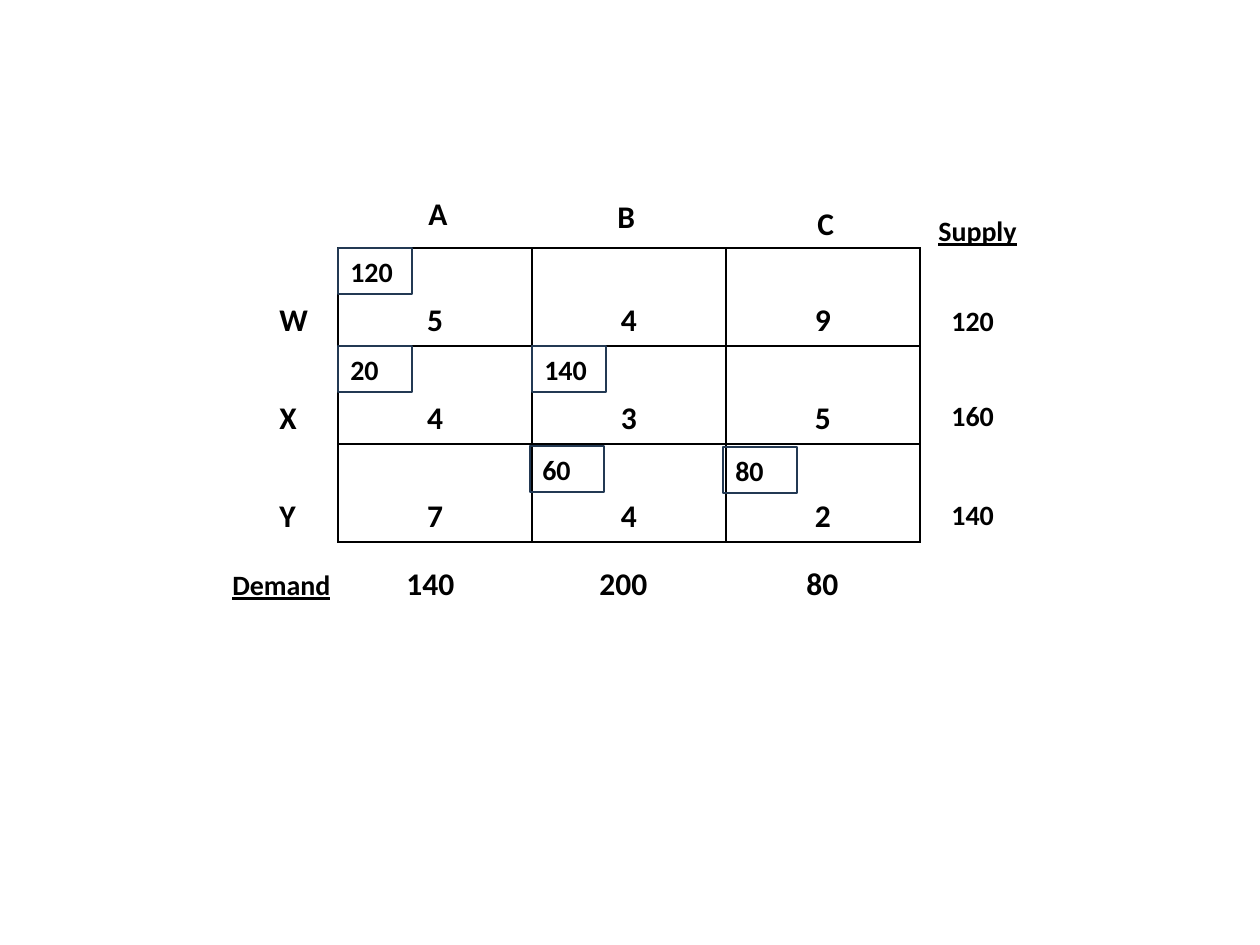
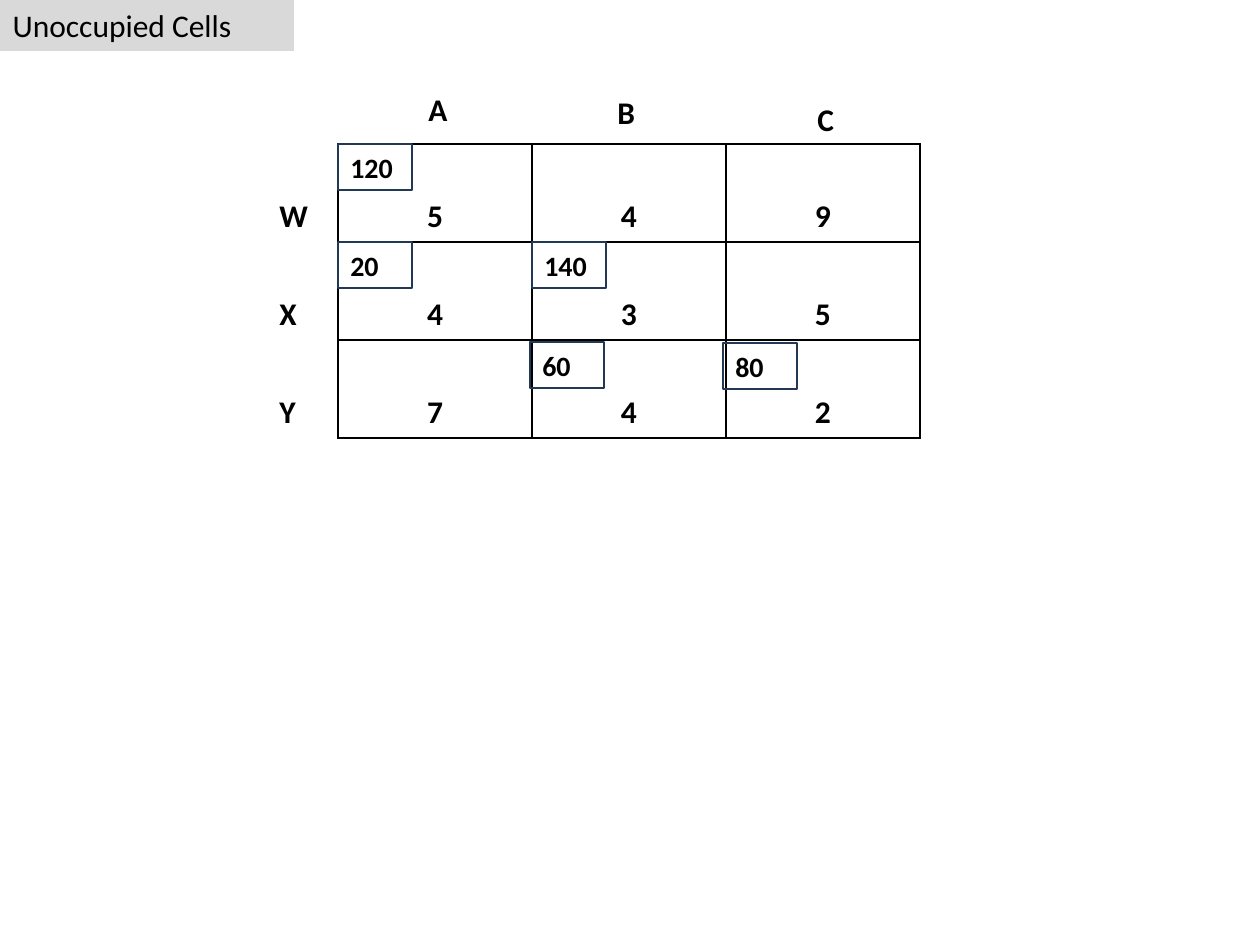
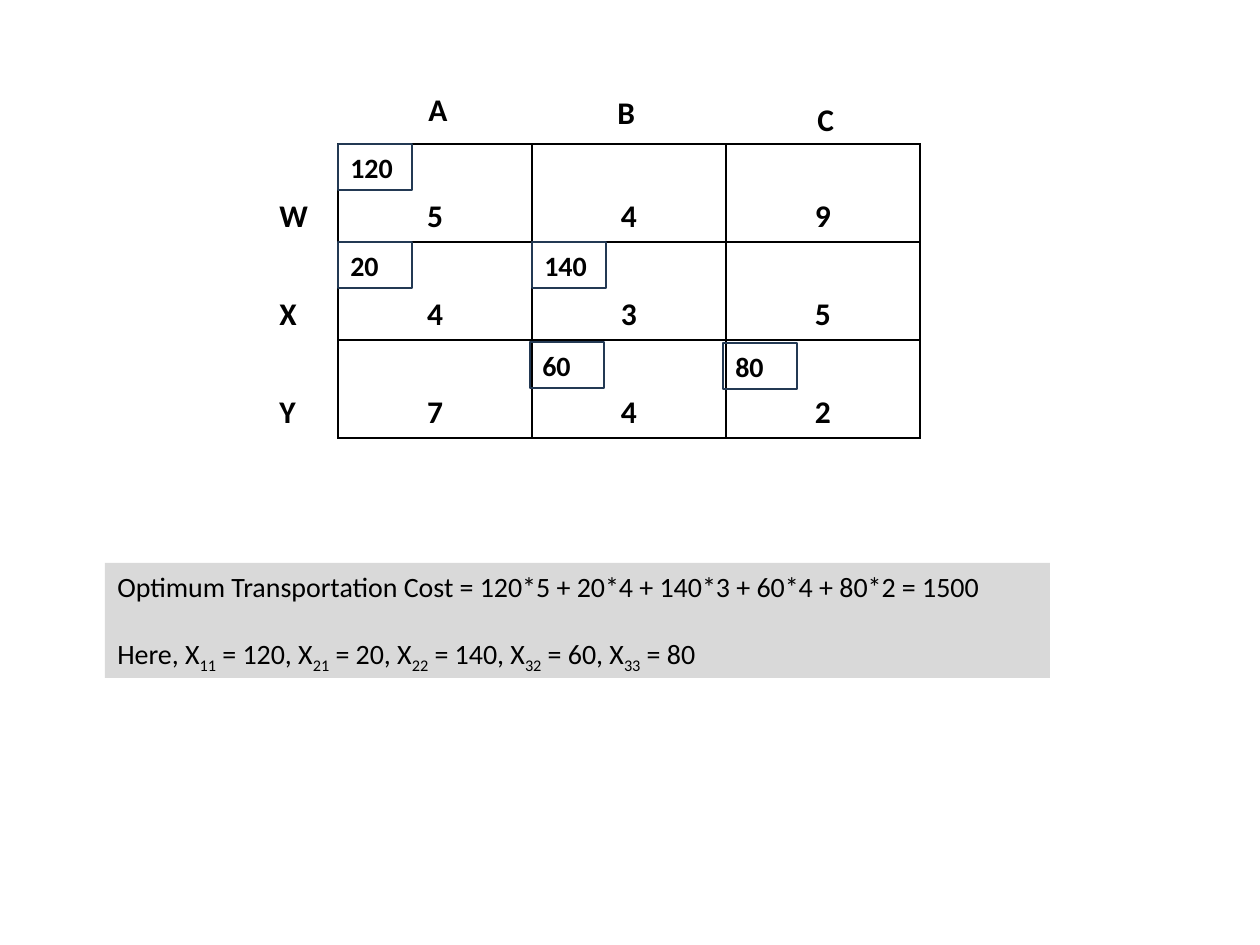
"""Build three slides that show a transportation problem and its optimum cost."""
import pptx
import pptx.dml.color
import pptx.enum.shapes
import pptx.enum.text
import pptx.oxml
import pptx.oxml.ns
import pptx.util

PX = 914400 / 126
BLACK, NAVY, GREY = "000000", "233953", "D9D9D9"
GRID_LEFT, COLUMN, ROW = 338, 194, 98
COSTS = [[5, 4, 9], [4, 3, 5], [7, 4, 2]]
ALIGN = pptx.enum.text.PP_ALIGN
ANCHOR = pptx.enum.text.MSO_ANCHOR


def colour(code):
    return pptx.dml.color.RGBColor.from_string(code)


def write(paragraph, text, size, bold=True, underline=None, align=ALIGN.LEFT):
    paragraph.alignment = align
    run = paragraph.add_run()
    run.text = text
    style = {"name": "Calibri", "size": pptx.util.Pt(size), "bold": bold, "underline": underline}
    for key, value in style.items():
        setattr(run.font, key, value)
    run.font.color.rgb = colour(BLACK)
    return run


grid_labels = [(name, 267, 46 + ROW * i, 94, 50, 18, None) for i, name in enumerate("WXY")]
grid_labels += [("A", 416, -60, 94, 50, 18, None), ("B", 605, -57, 94, 50, 18, None),
                ("C", 805, -50, 94, 50, 18, None)]
total_labels = [("Supply", 926, -41, 158, 47, 16, True), ("Demand", 220, 313, 141, 47, 16, True)]
total_labels += [(supply, 939, y, 84, 47, 16, None)
                 for supply, y in [("120", 49), ("144", 144), ("140", 243)]]
total_labels[3] = ("160",) + total_labels[3][1:]
total_labels += [(demand, x, 310, 84, 50, 18, None)
                 for demand, x in [("140", 394), ("200", 587), ("80", 794)]]
allocations = [("80", 723, 199), ("60", 530, 198), ("140", 532, 98), ("20", 338, 98), ("120", 338, 0)]

deck = pptx.Presentation()
deck.slide_width, deck.slide_height = pptx.util.Inches(10), pptx.util.Inches(7.5)
title_only, blank = deck.slide_layouts[5], deck.slide_layouts[6]

for layout, grid_top, labels in [(blank, 248, grid_labels + total_labels),
                                 (title_only, 144, grid_labels), (blank, 144, grid_labels)]:
    slide = deck.slides.add_slide(layout)
    area = [round(v * PX) for v in (GRID_LEFT, grid_top, 3 * COLUMN, 3 * ROW)]
    cost_grid = slide.shapes.add_table(3, 3, *area).table
    cost_grid.first_row = cost_grid.horz_banding = False
    for i, costs in enumerate(COSTS):
        for j, cost in enumerate(costs):
            cell = cost_grid.cell(i, j)
            cell.vertical_anchor = ANCHOR.BOTTOM
            write(cell.text_frame.paragraphs[0], str(cost), 18, align=ALIGN.CENTER)
            properties = cell._tc.get_or_add_tcPr()
            for side in ("lnL", "lnR", "lnT", "lnB"):
                properties.append(pptx.oxml.parse_xml(
                    f'<a:{side} {pptx.oxml.ns.nsdecls("a")} w="12700"><a:solidFill>'
                    f'<a:srgbClr val="{BLACK}"/></a:solidFill></a:{side}>'))
            cell.fill.background()

    for text, x, y, width, height, size, underline in labels:
        area = [round(v * PX) for v in (x, grid_top + y, width, height)]
        label = slide.shapes.add_textbox(*area)
        label.text_frame.word_wrap = True
        write(label.text_frame.paragraphs[0], text, size, underline=underline)

    for amount, x, y in allocations:
        area = [round(v * PX) for v in (x, grid_top + y, 74, 46)]
        allocation = slide.shapes.add_shape(pptx.enum.shapes.MSO_SHAPE.RECTANGLE, *area)
        allocation.shadow.inherit = False
        allocation.fill.background()
        allocation.line.color.rgb = colour(NAVY)
        allocation.line.width = pptx.util.Pt(1)
        allocation.text_frame.vertical_anchor = ANCHOR.MIDDLE
        write(allocation.text_frame.paragraphs[0], amount, 16)

heading = deck.slides[1].shapes.title
place = {"left": 0, "top": 0, "width": 294, "height": 51}
for key, value in place.items():
    setattr(heading, key, round(value * PX))
write(heading.text_frame.paragraphs[0], "Unoccupied Cells", 18, bold=False)

area = [round(v * PX) for v in (105, 563, 945, 115)]
solution = deck.slides[2].shapes.add_textbox(*area)
write(solution.text_frame.paragraphs[0],
      "Optimum Transportation Cost = 120*5 + 20*4 + 140*3 + 60*4 + 80*2 = 1500", 16, bold=False)
values = solution.text_frame.add_paragraph()
values.space_before = pptx.util.Pt(19.5)
lead = "Here, X"
for index, amount in [("11", 120), ("21", 20), ("22", 140), ("32", 60), ("33", 80)]:
    write(values, lead, 16, bold=False)
    subscript = write(values, index, 16, bold=False)
    subscript._r.get_or_add_rPr().set("baseline", "-25000")
    lead = f" = {amount}, X"
write(values, " = 80", 16, bold=False)

for panel in (heading, solution):
    panel.fill.solid()
    panel.fill.fore_color.rgb = colour(GREY)
    frame_format = {"word_wrap": True, "vertical_anchor": ANCHOR.TOP,
                    "auto_size": pptx.enum.text.MSO_AUTO_SIZE.NONE}
    for key, value in frame_format.items():
        setattr(panel.text_frame, key, value)

deck.save("out.pptx")
